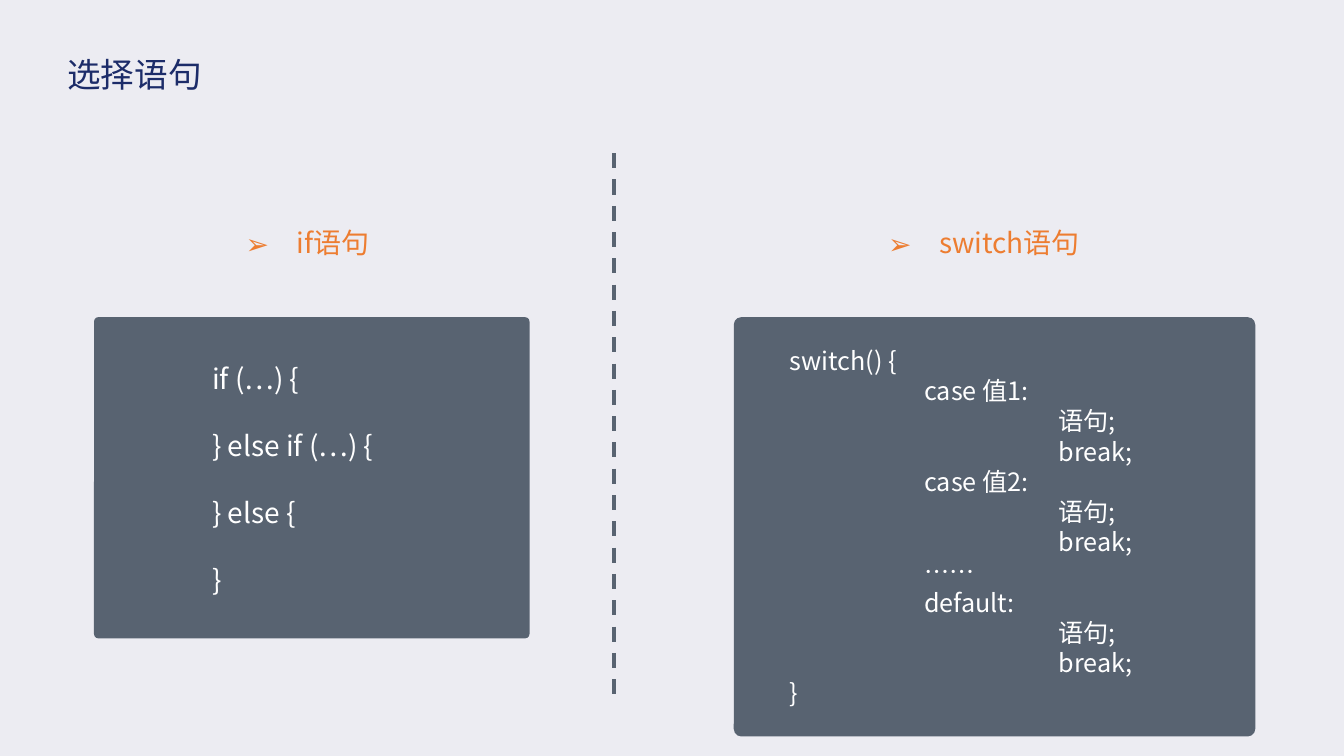
import pptx
import pptx.util
import pptx.dml.color
import pptx.enum.dml
import pptx.enum.shapes
import pptx.enum.text
import pptx.oxml.ns
import lxml.etree

COLORS = {"background": "ECECF2", "card": "586371", "title": "1C2C69",
          "heading": "ED7D31", "code": "FFFFFF"}
FONT = "Noto Sans CJK SC"
WIDTH = pptx.util.Inches(10)
HEIGHT = WIDTH * 9 // 16
COLUMN, ROW = WIDTH / 100, HEIGHT / 56.25  # square grid cells
HEADING_ROWS = 7.3  # from the top of a panel to its card
TAB = pptx.util.Inches(1)
BULLET_INDENT = pptx.util.Inches(0.38)

IF_CODE = [(0, "if (…) {"), (0, "} else if (…) {"), (0, "} else {"), (0, "}")]
CASE_BODY = [(2, "语句;"), (2, "break;")]
SWITCH_CODE = [(0, "switch() {"), (1, "case 值1:"), *CASE_BODY,
               (1, "case 值2:"), *CASE_BODY, (1, "……"),
               (1, "default:"), *CASE_BODY, (0, "}")]


def place(box):
    left, top, width, height = box
    return [round(left * COLUMN), round(top * ROW),
            round(width * COLUMN), round(height * ROW)]


def color(name):
    return pptx.dml.color.RGBColor.from_string(COLORS[name])


def add_child(parent, tag, **attributes):
    return lxml.etree.SubElement(parent, pptx.oxml.ns.qn(tag), **attributes)


def add_span(para, text, size, color_name):
    span = para.add_run()
    span.text = text
    span.font.size = pptx.util.Pt(size)
    span.font.name = FONT
    span.font.color.rgb = color(color_name)
    add_child(span.font._element, "a:ea", typeface=FONT)


def add_lines(frame, lines, size, color_name, gap=0):
    """Write (indent level, text) lines, one paragraph each."""
    for index, (level, text) in enumerate(lines):
        para = frame.add_paragraph() if index else frame.paragraphs[0]
        para.alignment = pptx.enum.text.PP_ALIGN.LEFT
        para.space_before = pptx.util.Pt(gap if index else 0)
        if level:
            para._p.get_or_add_pPr().set("marL", str(level * TAB))
        add_span(para, text, size, color_name)


def add_text_box(page, box):
    frame = page.shapes.add_textbox(*place(box)).text_frame
    frame.word_wrap = True
    return frame


def add_title(page, box, text):
    title = page.shapes.title
    title.left, title.top, title.width, title.height = place(box)
    frame = title.text_frame
    frame.word_wrap = True
    frame.margin_right = 0
    frame.auto_size = pptx.enum.text.MSO_AUTO_SIZE.NONE
    frame.vertical_anchor = pptx.enum.text.MSO_ANCHOR.TOP
    add_lines(frame, [(0, text)], 18, "title")


def add_heading(page, box, text):
    frame = add_text_box(page, box)
    add_lines(frame, [(0, text)], 15, "heading")
    properties = frame.paragraphs[0]._p.get_or_add_pPr()
    properties.set("marL", str(BULLET_INDENT))
    properties.set("indent", str(-BULLET_INDENT))
    add_child(properties, "a:buFont", typeface=FONT)
    add_child(properties, "a:buChar", char="➢")


def add_panel(page, box, corner, heading, heading_box, code, code_box, size, gap=0):
    """A bulleted heading above a card of code; inner boxes are relative to box."""
    left, top, width, height = box
    card_top = top + HEADING_ROWS
    card = page.shapes.add_shape(
        pptx.enum.shapes.MSO_SHAPE.ROUNDED_RECTANGLE,
        *place((left, card_top, width, height - HEADING_ROWS)))
    card.adjustments[0] = corner
    card.shadow.inherit = False
    card.fill.solid()
    card.fill.fore_color.rgb = color("card")
    card.line.fill.background()

    across, wide = heading_box
    add_heading(page, (left + across, top, wide, 3.5), heading)

    across, down, wide, high = code_box
    frame = add_text_box(page, (left + across, card_top + down, wide, high))
    add_lines(frame, code, size, "code", gap)


def add_divider(page, column, first_row, last_row):
    x = round(column * COLUMN)
    line = page.shapes.add_connector(
        pptx.enum.shapes.MSO_CONNECTOR.STRAIGHT,
        x, round(first_row * ROW), x, round(last_row * ROW))
    line.line.color.rgb = color("card")
    line.line.width = pptx.util.Pt(2)
    line.line.dash_style = pptx.enum.dml.MSO_LINE.DASH
    add_child(line._element.spPr, "a:effectLst")


def main():
    deck = pptx.Presentation()
    deck.slide_width, deck.slide_height = WIDTH, HEIGHT
    page = deck.slides.add_slide(deck.slide_layouts[5])
    page.background.fill.solid()
    page.background.fill.fore_color.rgb = color("background")

    add_title(page, (4, 3.5, 12, 4), "选择语句")
    # Left: if statement
    add_panel(page, (7, 16.3, 32.4, 31.2), 0.014, "if语句", (10.3, 11.8),
              IF_CODE, (7.8, 2.8, 16.9, 18.7), 15, gap=18)
    add_divider(page, 45.7, 11.4, 51.8)
    # Right: switch statement
    add_panel(page, (54.6, 16.3, 38.8, 38.5), 0.018, "switch语句", (10.5, 17.2),
              SWITCH_CODE, (3.2, 1.6, 42, 28.3), 13.5)
    deck.save("out.pptx")


if __name__ == "__main__":
    main()
